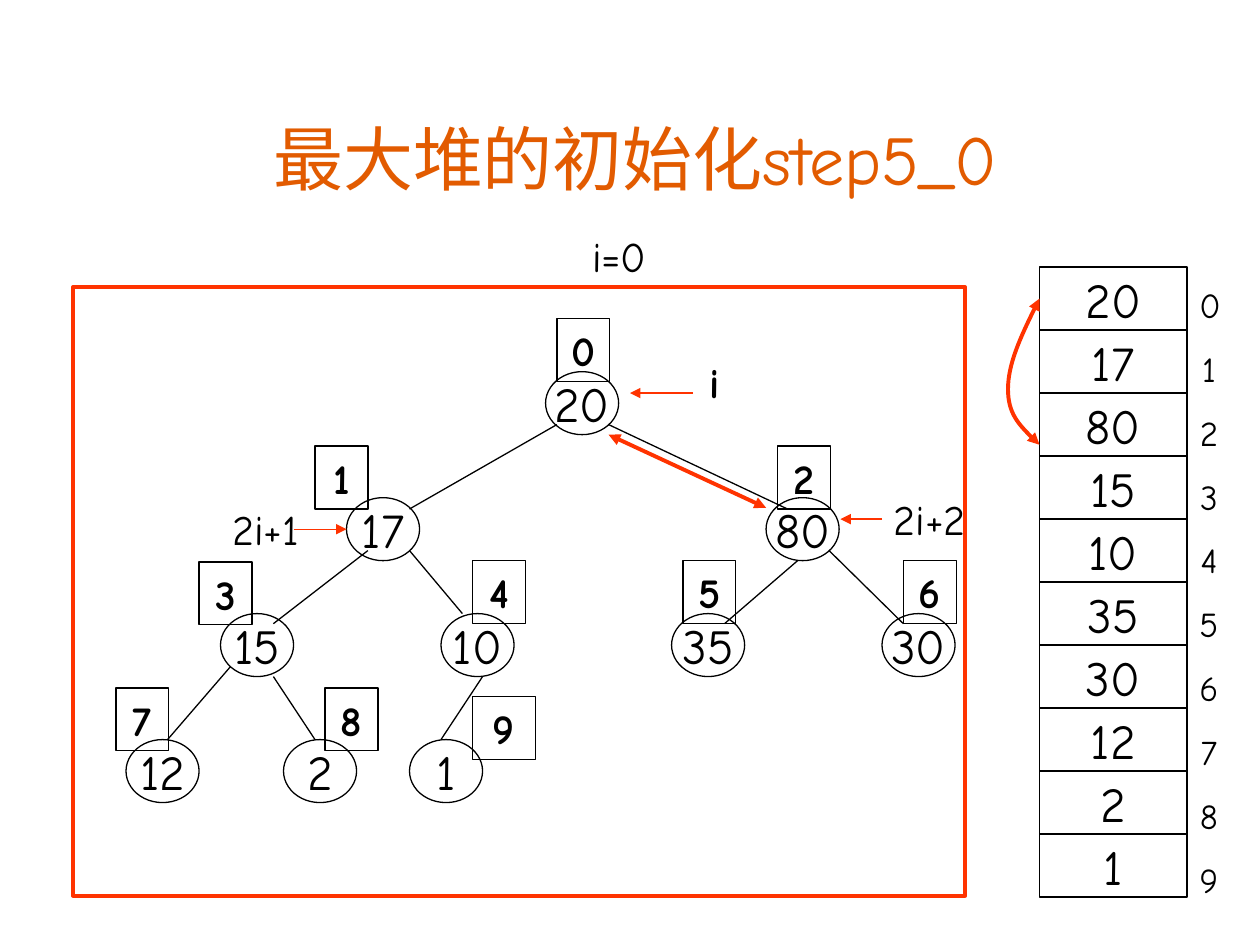
from lxml import etree
from pptx import Presentation
from pptx.dml.color import RGBColor
from pptx.enum.shapes import MSO_CONNECTOR, MSO_SHAPE
from pptx.enum.text import MSO_ANCHOR, PP_ALIGN
from pptx.oxml.ns import qn
from pptx.util import Inches, Pt

BLACK = RGBColor(0x00, 0x00, 0x00)
RED = RGBColor(0xFF, 0x33, 0x00)
ORANGE = RGBColor(0xE2, 0x5B, 0x00)
LATIN_FONT = "Comic Neue"
CJK_FONT = "Noto Sans CJK SC"
CENTER = PP_ALIGN.CENTER
TOP, MIDDLE, BOTTOM = MSO_ANCHOR.TOP, MSO_ANCHOR.MIDDLE, MSO_ANCHOR.BOTTOM
CIRCLE = MSO_SHAPE.FLOWCHART_CONNECTOR
CELL = MSO_SHAPE.FLOWCHART_PROCESS
RECT = MSO_SHAPE.RECTANGLE
STRAIGHT = MSO_CONNECTOR.STRAIGHT

HEAP = [20, 17, 80, 15, 10, 35, 30, 12, 2, 1]
NODE_W, NODE_H = 0.58, 0.5
NODES = [(4.33, 2.95), (2.75, 3.95), (6.08, 3.95), (1.75, 4.87), (3.5, 4.87),
         (5.33, 4.87), (7, 4.87), (1, 5.87), (2.25, 5.87), (3.25, 5.87)]
BADGES = [(4.42, 2.53), (2.5, 3.54), (6.17, 3.54), (1.58, 4.46), (3.75, 4.45),
          (5.42, 4.45), (7.17, 4.45), (0.92, 5.46), (2.58, 5.46), (3.75, 5.53)]
EDGES = [((4.42, 3.37), (3.25, 4.04)), ((2.92, 4.37), (2.17, 4.95)),
         ((1.83, 5.29), (1.33, 5.87)), ((3.25, 4.37), (3.67, 4.87)),
         ((2.17, 5.37), (2.5, 5.87)), ((3.83, 5.37), (3.5, 5.87)),
         ((4.83, 3.37), (6.25, 4.04)), ((6.33, 4.45), (5.75, 4.95)),
         ((6.58, 4.37), (7.17, 4.95))]
POINTERS = [((5.5, 3.12), (5, 3.12)), ((2.33, 4.2), (2.75, 4.2)),
            ((7, 4.12), (6.67, 4.12))]
POINTER_LABELS = [("i", 5.42, 2.78, 0.5, True), ("2i+1", 1.59, 3.95, 1.04, False),
                  ("2i+2", 6.92, 3.87, 0.92, False)]
SWAP_CURVE = [(8.25, 2.37), (8.12, 2.63), (8, 2.89), (8, 3.09),
              (8, 3.28), (8.12, 3.41), (8.25, 3.53)]


def write(sp, text, size, bold=False, anchor=TOP, wrap=True, space=0):
    tf = sp.text_frame
    tf.word_wrap = wrap
    tf.vertical_anchor = anchor
    tf.text = text
    for i, p in enumerate(tf.paragraphs):
        p.alignment = CENTER
        if i:
            p.space_before = Pt(space)
        for r in p.runs:
            r.font.name = LATIN_FONT
            r.font.size = Pt(size)
            r.font.bold = bold
            r.font.color.rgb = BLACK


def add_label(s, text, x, y, w, h, size, bold=False, space=0):
    sp = s.shapes.add_textbox(Inches(x), Inches(y), Inches(w), Inches(h))
    write(sp, text, size, bold, space=space)


def add_outline(s, kind, x, y, w, h, color=BLACK, width=0.75):
    sp = s.shapes.add_shape(kind, Inches(x), Inches(y), Inches(w), Inches(h))
    sp.shadow.inherit = False
    sp.fill.background()
    sp.line.color.rgb = color
    sp.line.width = Pt(width)
    return sp


def add_arrowheads(sp, *ends):
    """Put triangles on the given line ends, headEnd before tailEnd."""
    ln = sp._element.spPr.find(qn("a:ln"))
    for end in ends:
        etree.SubElement(ln, qn(f"a:{end}"), type="triangle")


def add_line(s, start, end, color=BLACK, width=0.75):
    cx = s.shapes.add_connector(STRAIGHT, *map(Inches, start + end))
    cx.line.color.rgb = color
    cx.line.width = Pt(width)
    etree.SubElement(cx._element.spPr, qn("a:effectLst"))
    return cx


def add_curve(s, points, color, width):
    """Draw cubic Bezier segments: a start, then three points per segment."""
    emu = [(Inches(x), Inches(y)) for x, y in points]
    builder = s.shapes.build_freeform(*emu[0])
    builder.add_line_segments(emu[1:], close=False)
    sp = builder.convert_to_shape()
    steps = list(sp._element.iter(qn("a:lnTo")))
    for i in range(0, len(steps), 3):
        bezier = etree.Element(qn("a:cubicBezTo"))
        steps[i].addprevious(bezier)
        for step in steps[i:i + 3]:
            bezier.append(step[0])
            step.getparent().remove(step)
    sp.shadow.inherit = False
    sp.fill.background()
    sp.line.color.rgb = color
    sp.line.width = Pt(width)
    return sp


def add_title(s):
    sp = s.shapes.add_textbox(Inches(0.75), Inches(0.75), Inches(8.58), Inches(0.83))
    tf = sp.text_frame
    tf.word_wrap = True
    tf.vertical_anchor = BOTTOM
    tf.margin_left = tf.margin_right = tf.margin_top = tf.margin_bottom = 0
    p = tf.paragraphs[0]
    p.alignment = CENTER
    for text, font in (("最大堆的初始化", CJK_FONT), ("step5_0", LATIN_FONT)):
        r = p.add_run()
        r.text = text
        r.font.size = Pt(40)
        r.font.color.rgb = ORANGE
        r.font.name = font
        etree.SubElement(r.font._element, qn("a:ea"), typeface=CJK_FONT)


def add_tree(s):
    for value, (x, y) in zip(HEAP, NODES):
        sp = add_outline(s, CIRCLE, x, y, NODE_W, NODE_H)
        write(sp, str(value), 28, anchor=MIDDLE, wrap=False)
    for start, end in EDGES:
        add_line(s, start, end)
    for i, (x, y) in enumerate(BADGES):
        sp = add_outline(s, RECT, x, y, 0.5 if i == 9 else 0.42, 0.5)
        write(sp, str(i), 24, bold=True)
    add_outline(s, RECT, 0.58, 2.28, 7.08, 4.83, RED, 2.25)


def add_array(s):
    for i, value in enumerate(HEAP):
        sp = add_outline(s, CELL, 8.25, 2.12 + 0.5 * i, 1.17, 0.5)
        write(sp, str(value), 28, anchor=MIDDLE, wrap=False)
    indices = "\n".join(str(i) for i in range(len(HEAP)))
    add_label(s, indices, 9.42, 2.2, 0.35, 5, 20, space=12.5)


def add_pointers(s):
    for text, x, y, w, bold in POINTER_LABELS:
        add_label(s, text, x, y, w, 0.5, 24, bold)
    for start, end in POINTERS:
        add_arrowheads(add_line(s, start, end, RED), "tailEnd")


def add_swap(s):
    tree_swap = add_line(s, (4.83, 3.45), (6.08, 4.03), RED, 2.25)
    array_swap = add_curve(s, SWAP_CURVE, RED, 2.25)
    for sp in (tree_swap, array_swap):
        add_arrowheads(sp, "headEnd", "tailEnd")


def main():
    prs = Presentation()
    prs.slide_width, prs.slide_height = Inches(10), Inches(7.5)
    s = prs.slides.add_slide(prs.slide_layouts[6])
    add_title(s)
    add_label(s, "i=0", 0.5, 1.78, 8.83, 0.5, 24)
    add_tree(s)
    add_array(s)
    add_pointers(s)
    add_swap(s)
    prs.save("out.pptx")


if __name__ == "__main__":
    main()
